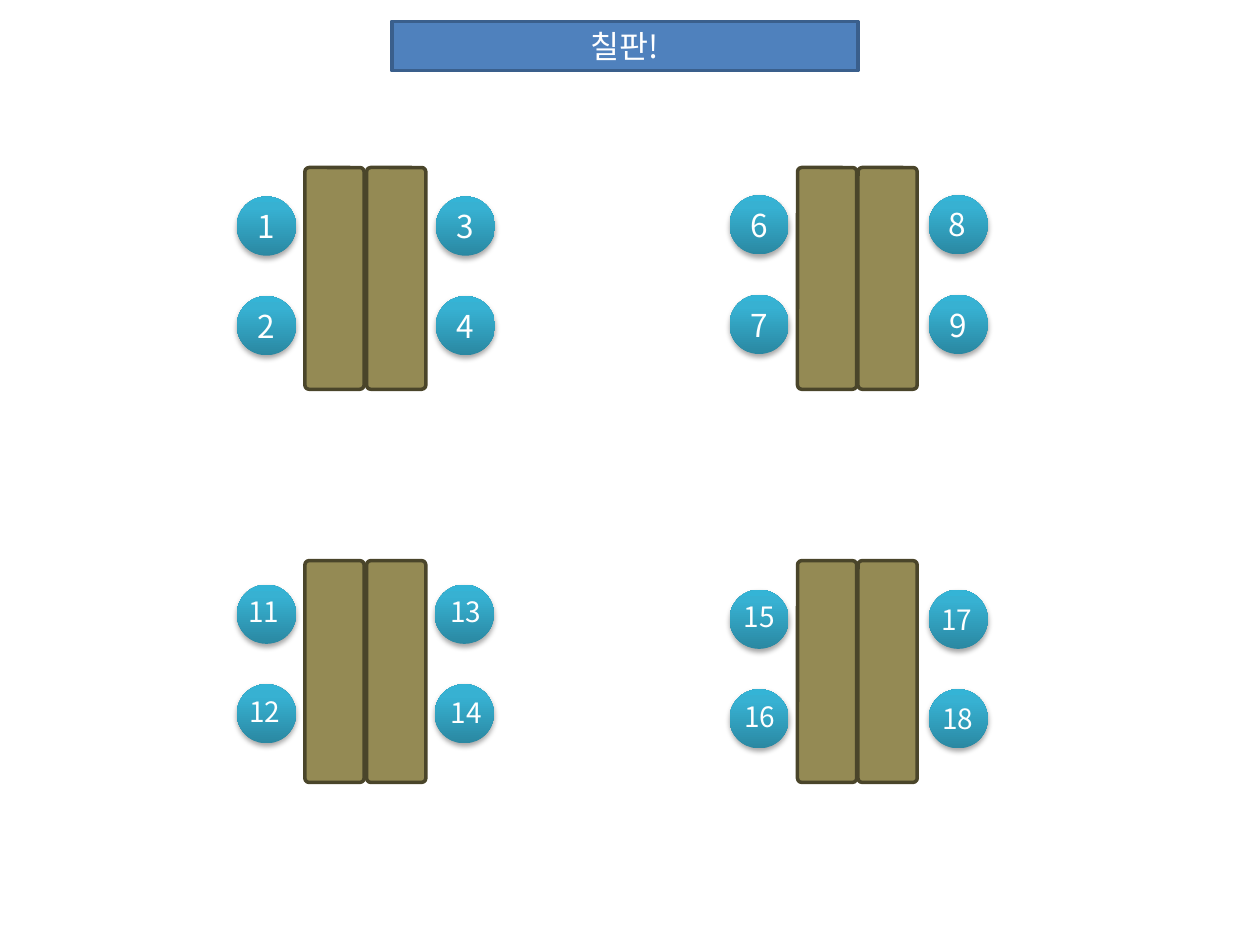
import pptx
import pptx.util
import pptx.dml.color
import pptx.enum.shapes
import pptx.enum.text
import pptx.oxml
import pptx.oxml.ns
from pptx.util import Inches

FONT = "Noto Sans CJK KR"
WHITE = pptx.dml.color.RGBColor(0xFF, 0xFF, 0xFF)
DESK_FILL = pptx.dml.color.RGBColor(0x94, 0x8A, 0x54)
DESK_LINE = pptx.dml.color.RGBColor(0x4A, 0x45, 0x2A)
BOARD_FILL = pptx.dml.color.RGBColor(0x4F, 0x81, 0xBD)
BOARD_LINE = pptx.dml.color.RGBColor(0x3A, 0x5F, 0x8C)
SEAT_STOPS = [
    (0, pptx.dml.color.RGBColor(0x2A, 0x88, 0xA2)),
    (80, pptx.dml.color.RGBColor(0x37, 0xB1, 0xD2)),
    (100, pptx.dml.color.RGBColor(0x34, 0xB4, 0xD6)),
]
SHADOW = pptx.dml.color.RGBColor(0, 0, 0)
CENTER = pptx.enum.text.PP_ALIGN.CENTER
LEFT = pptx.enum.text.PP_ALIGN.LEFT
SHAPES = pptx.enum.shapes.MSO_SHAPE
NAMESPACE = pptx.oxml.ns.nsdecls("a")

deck = pptx.Presentation()
deck.slide_width, deck.slide_height = Inches(10), Inches(7.5)
page = deck.slides.add_slide(deck.slide_layouts[6])


def add_box(kind, left, top, width, height, fill=None, line=None):
    box = page.shapes.add_shape(
        kind, Inches(left), Inches(top), Inches(width), Inches(height))
    box.shadow.inherit = False
    if fill is not None:
        box.fill.solid()
        box.fill.fore_color.rgb = fill
    if line is None:
        box.line.fill.background()
    else:
        box.line.color.rgb = line
        box.line.width = pptx.util.Pt(2)
    return box


def write(box, text, size, align=CENTER):
    box.text_frame.text = text
    para = box.text_frame.paragraphs[0]
    para.alignment = align
    span = para.runs[0]
    span.font.size = pptx.util.Pt(size)
    span.font.name = FONT
    span.font.color.rgb = WHITE
    # Korean glyphs take their typeface from the East Asian font slot
    span.font._element.append(
        pptx.oxml.parse_xml(f'<a:ea {NAMESPACE} typeface="{FONT}"/>'))


# Desks: four pairs
for top in (1.33, 4.45):
    for left in (2.42, 2.91, 6.33, 6.81):
        desk = add_box(SHAPES.ROUNDED_RECTANGLE, left, top, 0.47, 1.76,
                       DESK_FILL, DESK_LINE)
        desk.adjustments[0] = 0.07

# Seats: two columns of two around each pair; some numbers sit in the circle
seat_groups = [
    (1.88, 3.46, 1.56, ["1", "2", "3", "4"]),
    (5.79, 7.37, 1.55, ["6", "7", "", "9"]),
    (5.79, 7.37, 4.68, ["", "", "", ""]),
    (1.88, 3.45, 4.64, ["", "", "", ""]),
]
for left, right, top, numbers in seat_groups:
    for index, number in enumerate(numbers):
        column, row = divmod(index, 2)
        seat = add_box(SHAPES.OVAL, (left, right)[column], top + 0.79 * row,
                       0.47, 0.47)
        seat.fill.gradient()
        seat.fill.gradient_angle = 90
        properties = seat._element.spPr
        stop_list = properties.find(".//" + pptx.oxml.ns.qn("a:gsLst"))
        for stop in list(stop_list):
            stop_list.remove(stop)
        for position, color in SEAT_STOPS:
            stop_list.append(pptx.oxml.parse_xml(
                f'<a:gs {NAMESPACE} pos="{position * 1000}">'
                f'<a:srgbClr val="{color}"/></a:gs>'))
        properties.find(pptx.oxml.ns.qn("a:effectLst")).append(
            pptx.oxml.parse_xml(
                f'<a:outerShdw {NAMESPACE} blurRad="{pptx.util.Pt(3.1)}" '
                f'dist="{pptx.util.Pt(1.8)}" dir="5400000" rotWithShape="0">'
                f'<a:srgbClr val="{SHADOW}"><a:alpha val="35000"/></a:srgbClr>'
                '</a:outerShdw>'))
        if number:
            write(seat, number, 18)

# Seat numbers in text boxes of their own
seat_labels = [
    ("8", 7.39, 1.58, 0.42, 0.4, 18, CENTER),
    ("15", 5.75, 4.71, 0.55, 0.37, 16, CENTER),
    ("16", 5.81, 5.5, 0.55, 0.37, 16, LEFT),
    ("17", 7.32, 4.73, 0.55, 0.37, 16, CENTER),
    ("18", 7.38, 5.52, 0.55, 0.37, 16, LEFT),
    ("11", 1.82, 4.67, 0.55, 0.37, 16, CENTER),
    ("12", 1.88, 5.46, 0.55, 0.37, 16, LEFT),
    ("13", 3.42, 4.67, 0.55, 0.37, 16, CENTER),
    ("14", 3.48, 5.47, 0.55, 0.37, 16, LEFT),
]
for number, left, top, width, height, size, align in seat_labels:
    label = page.shapes.add_textbox(
        Inches(left), Inches(top), Inches(width), Inches(height))
    label.text_frame.word_wrap = True
    label.text_frame.auto_size = pptx.enum.text.MSO_AUTO_SIZE.SHAPE_TO_FIT_TEXT
    write(label, number, size, align)

# Blackboard
board = add_box(SHAPES.RECTANGLE, 3.11, 0.17, 3.7, 0.39, BOARD_FILL, BOARD_LINE)
write(board, "칠판!", 18)

deck.save("out.pptx")
